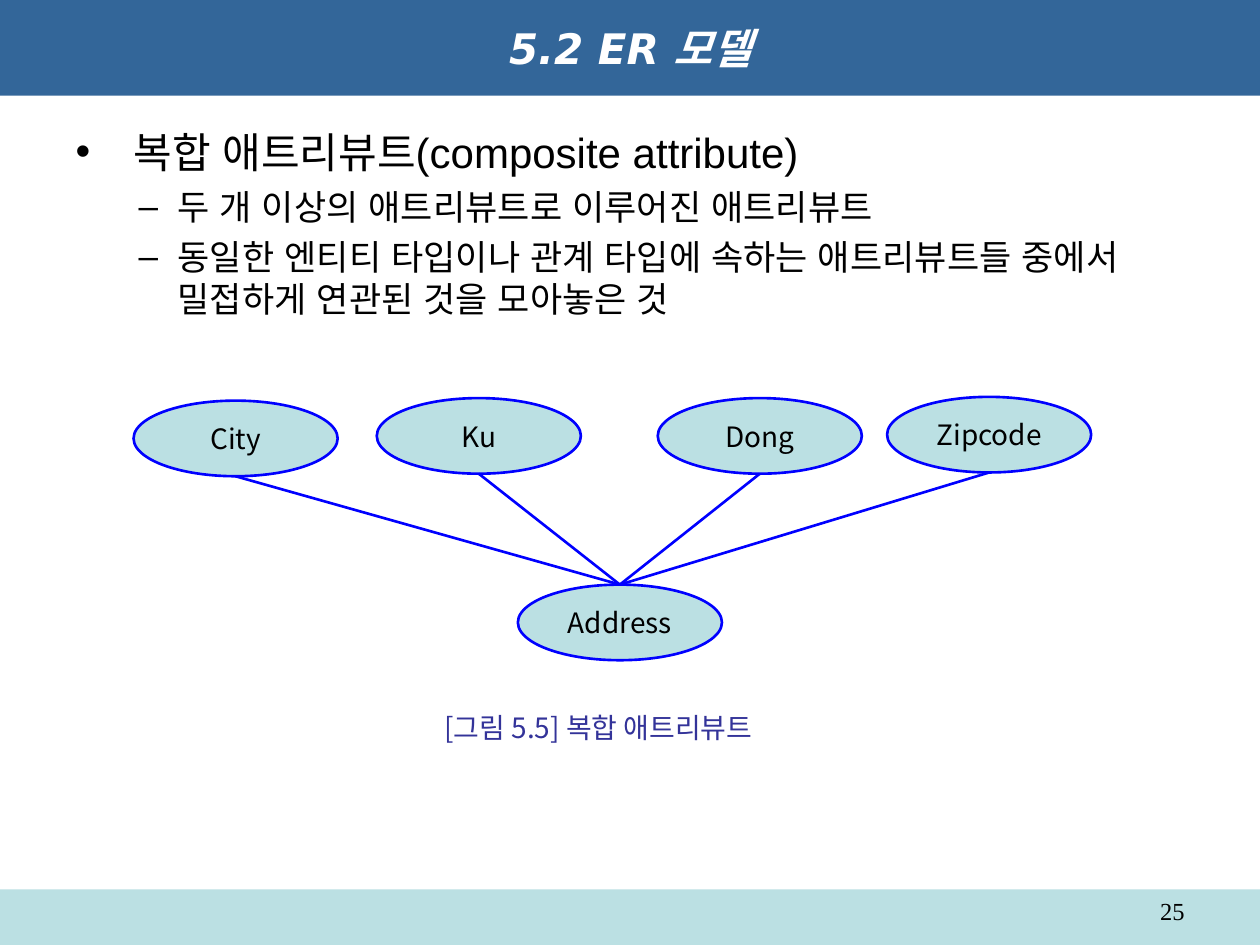
from lxml.etree import SubElement
from pptx import Presentation
from pptx.dml.color import RGBColor
from pptx.enum.shapes import MSO_CONNECTOR as Connector, MSO_SHAPE as Shape
from pptx.enum.text import MSO_ANCHOR as Anchor, MSO_AUTO_SIZE as AutoSize, PP_ALIGN as Align
from pptx.oxml.ns import qn
from pptx.util import Inches, Pt

COLORS = {
    "title": "336699",
    "pale": "BBE0E3",
    "outline": "0000FF",
    "caption": "333399",
    "text": "000000",
    "white": "FFFFFF",
}
OVAL_WIDTH, OVAL_HEIGHT = 1.62, 0.6


def color(name):
    return RGBColor.from_string(COLORS[name])


class SlideBuilder:
    def __init__(self, presentation):
        self.slide = presentation.slides.add_slide(presentation.slide_layouts[1])
        self.shapes = self.slide.shapes

    def place(self, shape, left, top, width, height):
        shape.left, shape.top = Inches(left), Inches(top)
        shape.width, shape.height = Inches(width), Inches(height)

    def style(self, paragraph, size, font_name, color_name="text", align=Align.LEFT):
        paragraph.alignment = align
        font = paragraph.font
        font.size, font.name = Pt(size), font_name
        font.color.rgb = color(color_name)
        for run in paragraph.runs:
            properties = run._r.get_or_add_rPr()
            SubElement(properties, qn("a:ea")).set("typeface", font_name)

    def band(self, top, height):
        shape = self.shapes.add_shape(
            Shape.RECTANGLE, 0, Inches(top), Inches(10), Inches(height))
        shape.shadow.inherit = False
        shape.fill.solid()
        shape.fill.fore_color.rgb = color("pale")
        shape.line.fill.background()

    def title(self, text):
        shape = self.shapes.title
        self.place(shape, 0, 0, 10, 0.76)
        shape.fill.solid()
        shape.fill.fore_color.rgb = color("title")
        frame = shape.text_frame
        frame.text = text
        frame.auto_size = AutoSize.NONE
        frame.vertical_anchor = Anchor.MIDDLE
        paragraph = frame.paragraphs[0]
        self.style(paragraph, 24, "DejaVu Sans", "white", Align.CENTER)
        paragraph.font.bold = paragraph.font.italic = True

    def body(self, items):
        shape = self.slide.placeholders[1]
        self.place(shape, 0.5, 0.95, 9, 5.95)
        frame = shape.text_frame
        frame.text = "\n".join(text for text, level in items)
        frame.auto_size = AutoSize.NONE
        for paragraph, (text, level) in zip(frame.paragraphs, items):
            paragraph.level = level
            margin, hanging, size = [(0.46, 0.46, 24), (0.81, 0.31, 20)][level]
            properties = paragraph._p.get_or_add_pPr()
            properties.set("marL", str(Inches(margin)))
            properties.set("indent", str(-Inches(hanging)))
            paragraph.space_before = Pt(5 if level else 0)
            self.style(paragraph, size, "Arial")

    def oval(self, text, left, top):
        shape = self.shapes.add_shape(
            Shape.OVAL, Inches(left), Inches(top), Inches(OVAL_WIDTH), Inches(OVAL_HEIGHT))
        shape.shadow.inherit = False
        shape.fill.solid()
        shape.fill.fore_color.rgb = color("pale")
        shape.line.color.rgb = color("outline")
        shape.line.width = Pt(1.5)
        frame = shape.text_frame
        frame.text = text
        frame.word_wrap = False
        frame.vertical_anchor = Anchor.MIDDLE
        self.style(frame.paragraphs[0], 16, "Noto Sans CJK JP", align=Align.CENTER)
        return shape

    def link(self, upper, lower):
        line = self.shapes.add_connector(
            Connector.STRAIGHT,
            upper.left + upper.width // 2, upper.top + upper.height,
            lower.left + lower.width // 2, lower.top)
        line.line.color.rgb = color("outline")
        line.line.width = Pt(1.5)
        SubElement(line._element.spPr, qn("a:effectLst"))

    def label(self, text, box, size, font_name, color_name="text", align=Align.LEFT,
              anchor=Anchor.TOP, wrap=True):
        shape = self.shapes.add_textbox(*map(Inches, box))
        frame = shape.text_frame
        frame.text = text
        frame.word_wrap = wrap
        frame.vertical_anchor = anchor
        self.style(frame.paragraphs[0], size, font_name, color_name, align)


def main():
    presentation = Presentation()
    presentation.slide_width, presentation.slide_height = Inches(10), Inches(7.5)
    builder = SlideBuilder(presentation)
    builder.band(7.06, 0.44)
    builder.label("25", (7.17, 7.06, 2.33, 0.29), 14, "Times New Roman", align=Align.RIGHT)
    builder.title("5.2 ER 모델")
    builder.body([
        ("복합 애트리뷰트(composite attribute)", 0),
        ("두 개 이상의 애트리뷰트로 이루어진 애트리뷰트", 1),
        ("동일한 엔티티 타입이나 관계 타입에 속하는 애트리뷰트들 중에서 밀접하게 연관된 것을 모아놓은 것", 1),
    ])
    address = builder.oval("Address", 4.11, 4.64)
    parts = [("City", 1.06, 3.18), ("Ku", 2.99, 3.16), ("Dong", 5.22, 3.16), ("Zipcode", 7.04, 3.15)]
    for name, left, top in parts:
        builder.link(builder.oval(name, left, top), address)
    builder.label("[그림 5.5] 복합 애트리뷰트", (3.43, 5.59, 2.94, 0.37), 16,
                  "Noto Sans CJK KR", "caption", anchor=Anchor.MIDDLE, wrap=False)
    presentation.save("out.pptx")


if __name__ == "__main__":
    main()
